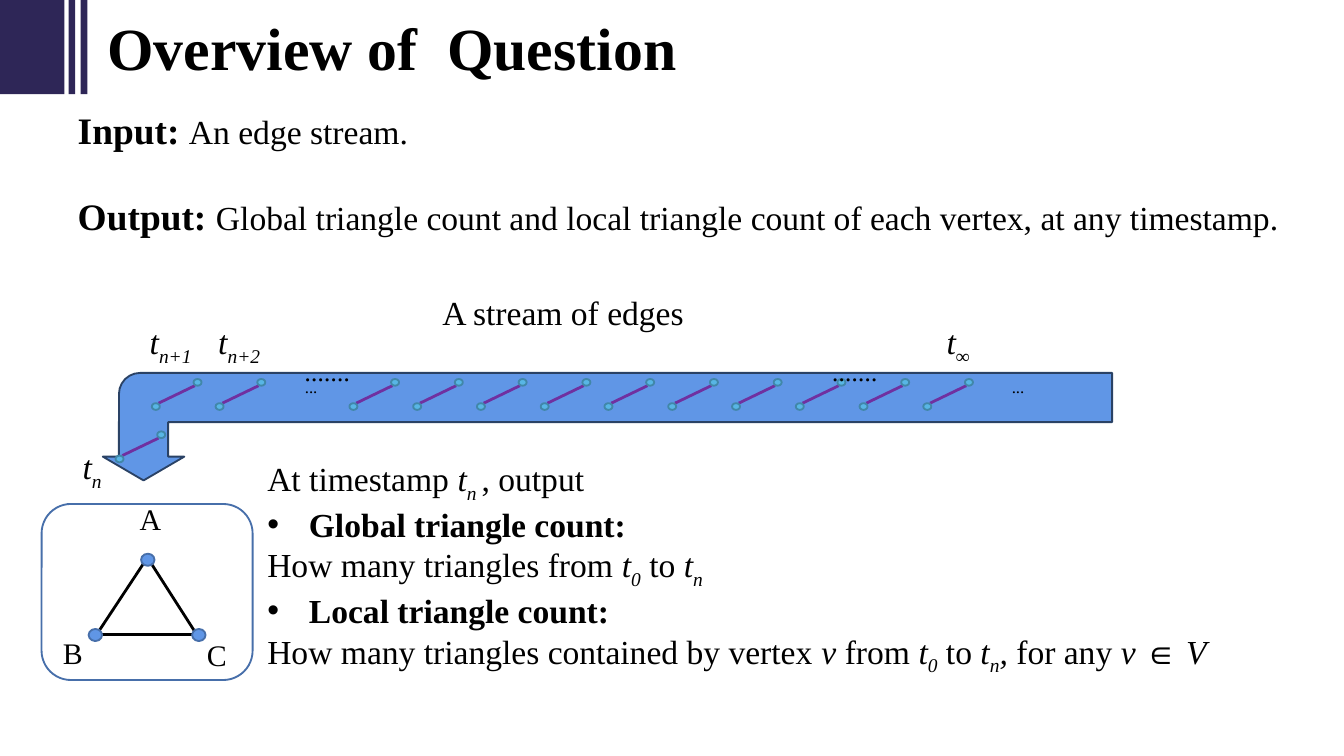
from pptx import Presentation
from pptx.dml.color import RGBColor
from pptx.enum.shapes import MSO_CONNECTOR, MSO_SHAPE
from pptx.enum.text import MSO_AUTO_SIZE, PP_ALIGN
from pptx.oxml.ns import qn
from pptx.util import Inches, Pt
from lxml.etree import SubElement

FONT = "Times New Roman"
BLACK = RGBColor(0, 0, 0)
NAVY = RGBColor(0x2E, 0x26, 0x57)
BLUE = RGBColor(0x60, 0x96, 0xE6)
RIM = RGBColor(0x47, 0x6F, 0xAA)
DARK = RGBColor(0x2A, 0x42, 0x65)
PURPLE = RGBColor(0x70, 0x30, 0xA0)
CYAN = RGBColor(0x58, 0xB6, 0xE5)
TEAL = RGBColor(0x41, 0x87, 0xA9)


def shape(shapes, kind, box, fill=None, line=None):
    item = shapes.add_shape(kind, *map(Inches, box))
    item.shadow.inherit = False
    if fill is None:
        item.fill.background()
    else:
        item.fill.solid()
        item.fill.fore_color.rgb = fill
    if line is None:
        item.line.fill.background()
    else:
        item.line.color.rgb = line
        item.line.width = Pt(1)
    return item


def line(shapes, start, end, color):
    item = shapes.add_connector(MSO_CONNECTOR.STRAIGHT, *map(Inches, start + end))
    item.line.color.rgb = color
    item.line.width = Pt(1.5)
    SubElement(item.element.spPr, qn("a:effectLst"))


def bullet(para):
    props = para._p.get_or_add_pPr()
    props.set("marL", str(Inches(0.31)))
    props.set("indent", str(-Inches(0.31)))
    SubElement(props, qn("a:buFont")).set("typeface", "Arial")
    SubElement(props, qn("a:buChar")).set("char", "•")


def fill_para(para, runs, size):
    """Add (text, style[, size]) runs; styles are b bold, i italic, s subscript."""
    for words, style, *own in runs:
        run = para.add_run()
        run.text = words
        font = run.font
        font.name = FONT
        font.size = Pt(own[0] if own else size)
        font.color.rgb = BLACK
        font.bold = "b" in style
        font.italic = "i" in style
        if "s" in style:
            run._r.get_or_add_rPr().set("baseline", "-25000")


def text(shapes, box, paras, size=18, center=False):
    """Add a text box and return its paragraphs."""
    frame = shapes.add_textbox(*map(Inches, box)).text_frame
    frame.word_wrap = True
    frame.auto_size = MSO_AUTO_SIZE.SHAPE_TO_FIT_TEXT
    for n, runs in enumerate(paras):
        para = frame.add_paragraph() if n else frame.paragraphs[0]
        if center:
            para.alignment = PP_ALIGN.CENTER
        fill_para(para, runs, size)
    return frame.paragraphs


def header(shapes, x, y):
    for dx, width in ((0, 0.48), (0.51, 0.05), (0.6, 0.05)):
        shape(shapes, MSO_SHAPE.RECTANGLE, (x + dx, y, width, 0.71), NAVY)
    text(shapes, (x + 0.7, y + 0.04, 6.21, 0.64),
         [[("Overview of  Question", "b")]], 32)


def task(shapes, box):
    paras = text(shapes, box, [
        [("Input: ", "b", 20), ("An edge stream.", "")],
        [("Output: ", "b", 20),
         ("Global triangle count and local triangle count of each vertex, "
          "at any timestamp.", "")],
    ])
    paras[1].space_before = Pt(22)


def graph(shapes, x, y):
    """Draw the framed triangle with vertices A, B and C."""
    parts = shapes.add_group_shape().shapes
    shape(parts, MSO_SHAPE.ROUNDED_RECTANGLE, (x, y, 1.57, 1.31), line=RIM)
    for start, end in (((0.82, 0.45), (1.14, 0.95)),
                       ((0.45, 0.97), (1.12, 0.97)),
                       ((0.78, 0.41), (0.43, 0.94))):
        line(parts, (x + start[0], y + start[1]), (x + end[0], y + end[1]), BLACK)
    for name, dot, label in (("A", (0.74, 0.37), (0.63, -0.07)),
                             ("B", (0.35, 0.93), (0.06, 0.92)),
                             ("C", (1.12, 0.93), (1.13, 0.94))):
        shape(parts, MSO_SHAPE.OVAL, (x + dot[0], y + dot[1], 0.1, 0.09), BLUE, RIM)
        text(parts, (x + label[0], y + label[1], 0.32, 0.63),
             [[(name, "")]], 16, True)


def edge(shapes, x, y):
    parts = shapes.add_group_shape().shapes
    line(parts, (x + 0.32, y + 0.05), (x + 0.05, y + 0.18), PURPLE)
    for dx, dy in ((0.31, 0), (0, 0.18)):
        shape(parts, MSO_SHAPE.OVAL, (x + dx, y + dy, 0.06, 0.05), CYAN, TEAL)


def stream(shapes, x, y):
    """Draw the bent arrow with its edges, dots and time labels."""
    text(shapes, (x + 2.18, y - 0.66, 2.48, 0.4),
         [[("A stream of edges", "")]], center=True)
    arrow = shape(shapes, MSO_SHAPE.BENT_ARROW,
                  (x + 3.35, y - 3.36, 0.8, 7.51), BLUE, DARK)
    arrow.rotation = 90
    arrow.element.spPr.xfrm.set("flipV", "1")
    for n, value in enumerate((0.458, 0.379, 0.221, 0.196)):
        arrow.adjustments[n] = value

    pitch = Inches(4.27) / Inches(9)
    for first, count in ((0.36, 2), (1.83, 10)):
        for n in range(count):
            edge(shapes, x + first + n * pitch, y + 0.04)
    edge(shapes, x + 0.09, y + 0.43)

    for dx, width in ((1.39, 0.31), (6.61, 0.39)):
        paras = text(shapes, (x + dx, y + 0.05, width, 0.16),
                     [[("...", "")]], 9, True)
        paras[0].line_spacing = 0.4
    for dx, dy, width, sub in ((-0.29, 0.49, 0.41, "n"), (0.21, -0.44, 0.58, "n+1"),
                               (0.73, -0.44, 0.56, "n+2"), (6.13, -0.44, 0.46, "∞")):
        text(shapes, (x + dx, y + dy, width, 0.4),
             [[("t", "i"), (sub, "is")]], center=True)
    for dx, width in ((5.14, 0.91), (1.25, 0.84)):
        text(shapes, (x + dx, y - 0.41, width, 0.43),
             [[(".......", "is")]], 24, True)


def counts(shapes, box):
    start = [("t", "i"), ("0", "is")]
    now = [("t", "i"), ("n", "is")]
    paras = text(shapes, box, [
        [("At timestamp ", ""), ("t", "i"), ("n ", "is"), (", output", "")],
        [("Global triangle count:", "b")],
        [("How many triangles from ", ""), *start, (" to ", ""), *now],
        [("Local triangle count:", "b")],
        [("How many triangles contained by vertex ", ""), ("v", "i"), (" from ", ""),
         *start, (" to ", ""), *now, (",", "i"), (" for any ", ""), ("v ∈ V", "i")],
    ])
    bullet(paras[1])
    bullet(paras[3])


def main():
    deck = Presentation()
    deck.slide_width = Inches(10)
    deck.slide_height = deck.slide_width * 9 // 16
    shapes = deck.slides.add_slide(deck.slide_layouts[6]).shapes
    header(shapes, 0, -0.01)
    task(shapes, (0.48, 0.75, 9.38, 1.35))
    graph(shapes, 0.31, 3.75)
    counts(shapes, (1.89, 3.36, 7.58, 1.85))
    stream(shapes, 0.77, 2.78)
    deck.save("out.pptx")


if __name__ == "__main__":
    main()
